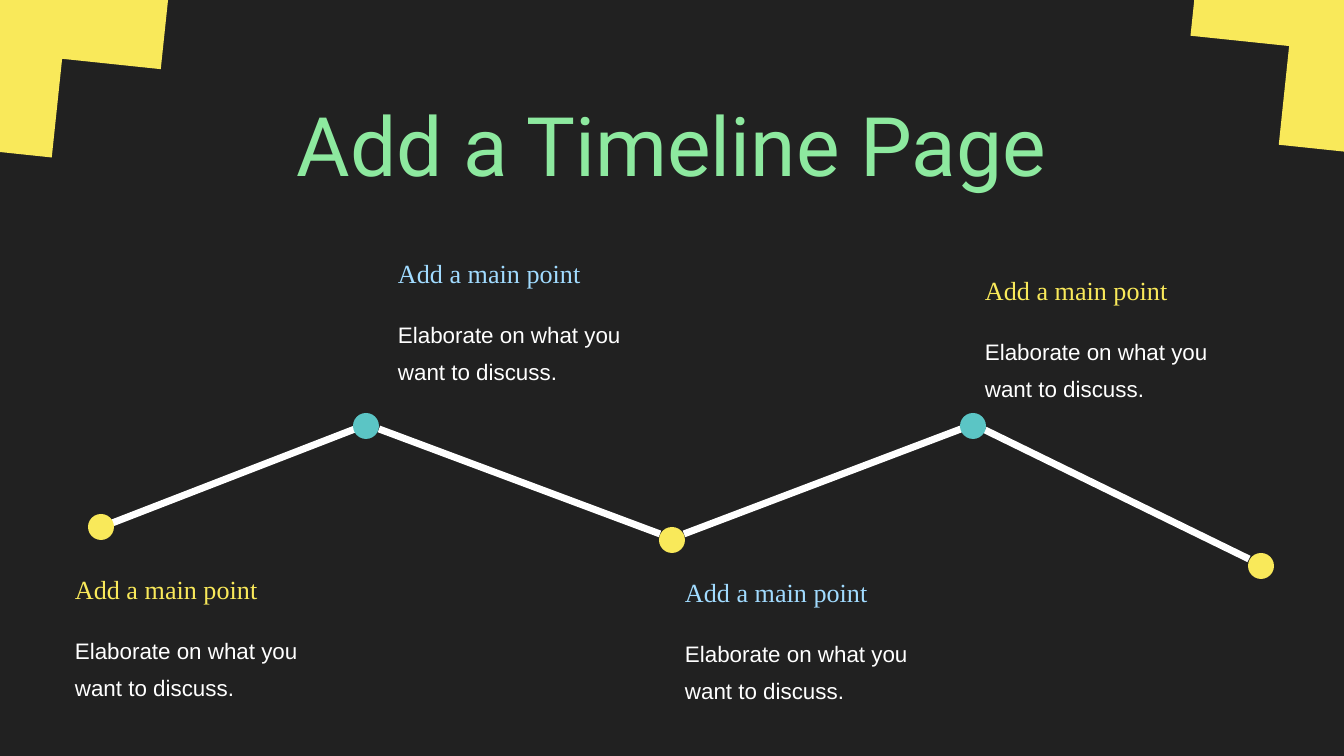
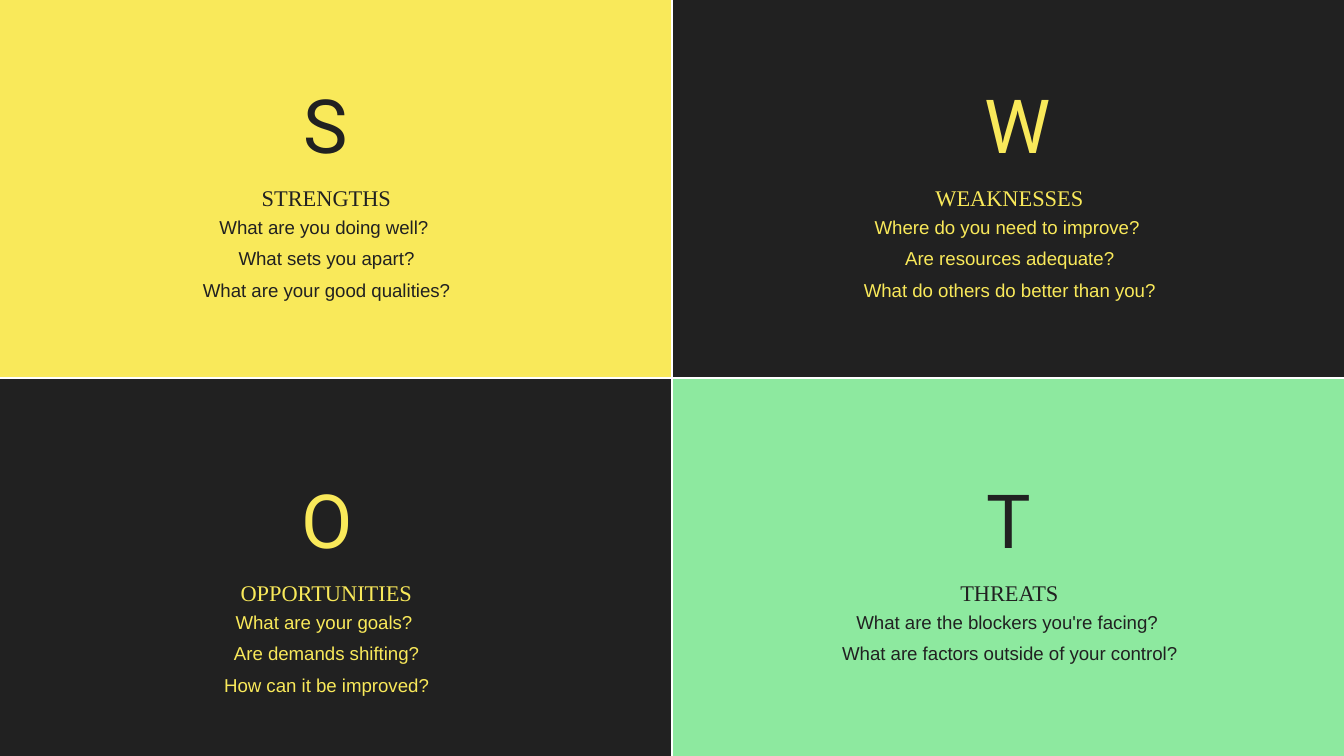
from pptx import Presentation
from pptx.dml.color import RGBColor
from pptx.enum.shapes import MSO_CONNECTOR as LINK, MSO_SHAPE as SHAPE
from pptx.enum.text import MSO_ANCHOR as ANCHOR, MSO_AUTO_SIZE as FIT, PP_ALIGN as ALIGN
from pptx.oxml.ns import qn
from pptx.util import Emu, Pt
from lxml.etree import SubElement

DARK = RGBColor(0x21, 0x21, 0x21)
WHITE = RGBColor(0xFF, 0xFF, 0xFF)
YELLOW = RGBColor(0xF9, 0xE9, 0x5A)
GREEN = RGBColor(0x8D, 0xE9, 0x9F)
BLUE = RGBColor(0xA1, 0xDB, 0xFF)
TEAL = RGBColor(0x5B, 0xC5, 0xC5)

TITLE, HEAD, BODY = "Roboto", "Times New Roman", "Arial"
WIDE, HIGH = 1344, 756
SCALE = 914400 / 134.4


def px(n):
    return Emu(round(n * SCALE))


class Deck:
    def __init__(self):
        self.prs = Presentation()
        self.prs.slide_width, self.prs.slide_height = px(WIDE), px(HIGH)
        self.slide = None

    def page(self, layout, back):
        self.slide = self.prs.slides.add_slide(self.prs.slide_layouts[layout])
        fill = self.slide.background.fill
        fill.solid()
        fill.fore_color.rgb = back

    def style(self, box, text, font, size, color, space, align):
        frame = box.text_frame
        frame.text = text
        frame.word_wrap = True
        frame.auto_size = FIT.SHAPE_TO_FIT_TEXT
        frame.vertical_anchor = ANCHOR.TOP
        frame.margin_left = frame.margin_right = 0
        frame.margin_top = frame.margin_bottom = 0
        for para in frame.paragraphs:
            para.alignment = align
            para.line_spacing = space
            para.space_before = Pt(0)
            for run in para.runs:
                run.font.name = font
                run.font.size = Pt(size)
                run.font.color.rgb = color

    def title(self, text, x, y, w, h):
        box = self.slide.shapes.title
        box.left, box.top, box.width, box.height = map(px, (x, y, w, h))
        self.style(box, text, TITLE, 44, GREEN, 1.2, ALIGN.CENTER)

    def text(self, text, x, y, w, h, font, size, color, space=1.0, align=ALIGN.LEFT):
        box = self.slide.shapes.add_textbox(*map(px, (x, y, w, h)))
        self.style(box, text, font, size, color, space, align)

    def shape(self, kind, x, y, w, h, color):
        item = self.slide.shapes.add_shape(kind, *map(px, (x, y, w, h)))
        item.shadow.inherit = False
        item.fill.solid()
        item.fill.fore_color.rgb = color
        item.line.fill.background()
        return item

    def cross(self, x, y, size):
        item = self.shape(SHAPE.CROSS, x, y, size, size, YELLOW)
        item.adjustments[0] = 0.31
        item.rotation = 6

    def dot(self, x, y, color, size=26):
        self.shape(SHAPE.OVAL, x - size // 2, y - size // 2, size, size, color)

    def line(self, *ends):
        item = self.slide.shapes.add_connector(LINK.STRAIGHT, *map(px, ends))
        item.line.color.rgb = WHITE
        item.line.width = Pt(3.75)
        SubElement(item._element.spPr, qn("a:effectLst"))


def timeline(deck):
    deck.page(5, DARK)
    deck.title("Add a Timeline Page", 75, 75, 1194, 98)

    # Main points
    points = [(75, 567, YELLOW), (398, 251, BLUE), (985, 268, YELLOW), (685, 570, BLUE)]
    for x, y, color in points:
        deck.text("Add a main point", x, y, 247, 31, HEAD, 14, color, 1.2)
        deck.text("Elaborate on what you want to discuss.", x, y + 59, 247, 60,
                  BODY, 12, WHITE, 1.4)

    # Zigzag path and its stops
    for ends in [(102, 527, 355, 429), (379, 429, 660, 534),
                 (684, 534, 961, 429), (985, 430, 1249, 559)]:
        deck.line(*ends)
    stops = [(101, 527), (366, 426), (672, 540), (973, 426), (1261, 566)]
    for i, (x, y) in enumerate(stops):
        deck.dot(x, y, TEAL if i % 2 else YELLOW)

    # Corner crosses
    for x in (-152, 1196):
        deck.cross(x, -168, 320)


def swot(deck):
    deck.page(6, WHITE)
    parts = [
        ("STRENGTHS", YELLOW, DARK,
         ["What are you doing well? ", "What sets you apart?", "What are your good qualities?"]),
        ("WEAKNESSES", DARK, YELLOW,
         ["Where do you need to improve? ", "Are resources adequate?",
          "What do others do better than you?"]),
        ("OPPORTUNITIES", DARK, YELLOW,
         ["What are your goals? ", "Are demands shifting?", "How can it be improved?"]),
        ("THREATS", GREEN, DARK,
         ["What are the blockers you're facing? ", "What are factors outside of your control?"]),
    ]
    gap = 2
    w, h = (WIDE - gap) // 2, (HIGH - gap) // 2
    for i, (name, back, ink, asks) in enumerate(parts):
        row, col = divmod(i, 2)
        deck.shape(SHAPE.RECTANGLE, col * (w + gap), row * (h + gap), w, h, back)
        # Letter, name and questions share one centre line
        mid, top = 326 + 683 * col, 79 + 395 * row
        wide = (503, 517)[col]
        for text, y, wd, ht, font, size, space in [
            (name, 80, 503, 36, HEAD, 12, 1.94),
            ("\n".join(asks), 128, wide, 24 * len(asks), BODY, 10, 1.4),
            (name[0], 0, 48, 78, TITLE, 40, 1.0),
        ]:
            deck.text(text, mid - wd // 2, top + y, wd, ht, font, size, ink,
                      space, ALIGN.CENTER)


def main():
    deck = Deck()
    timeline(deck)
    swot(deck)
    deck.prs.save("out.pptx")


if __name__ == "__main__":
    main()
